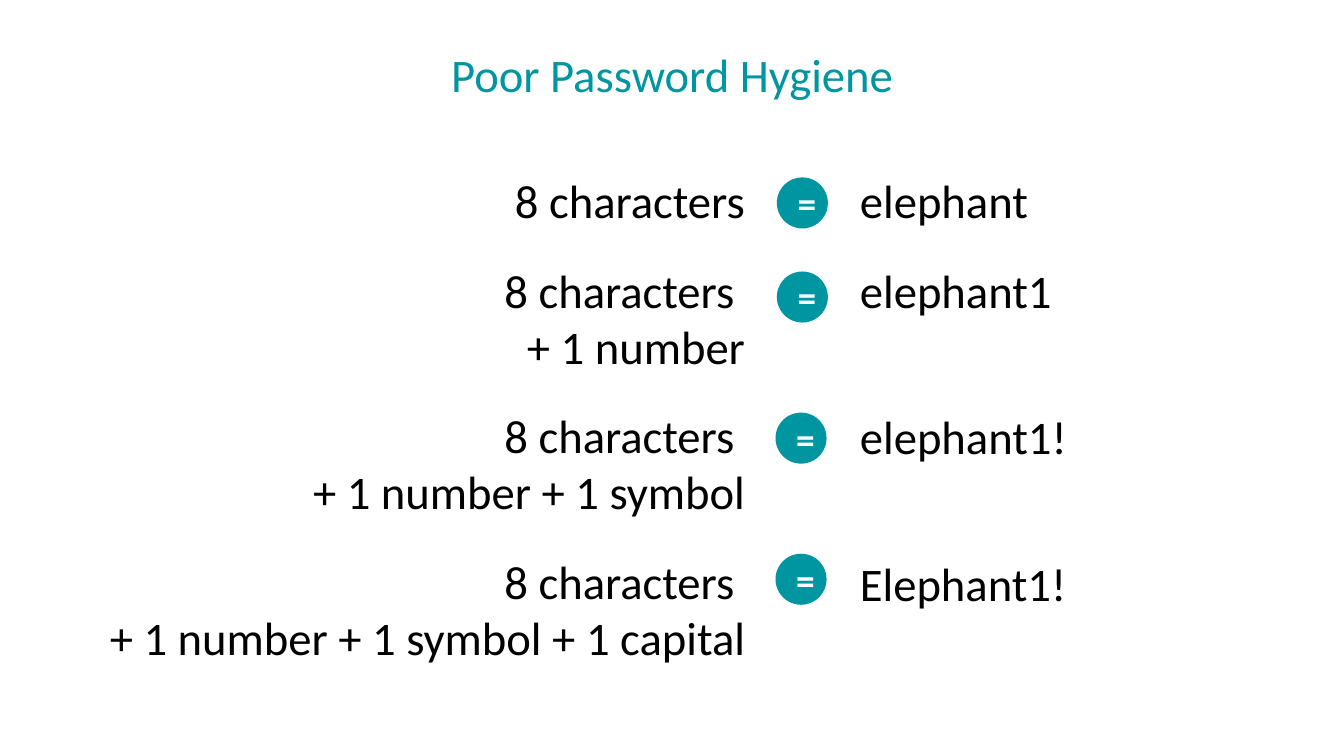
"""Build the slide on poor password hygiene."""
from pptx import Presentation
from pptx.dml.color import RGBColor
from pptx.enum.shapes import MSO_SHAPE as SHAPE
from pptx.enum.text import MSO_ANCHOR as ANCHOR, PP_ALIGN as ALIGN
from pptx.util import Pt

TEAL = RGBColor(0x00, 0x96, 0xA1)
BLACK = RGBColor(0, 0, 0)
WHITE = RGBColor(255, 255, 255)
FONT = "Calibri"
SIZE = 25
GAP = 18
LINE = 30.5
DISC = 27.36

TITLE = "Poor Password Hygiene"
ROWS = [
    (["8 characters"], "elephant", (416.16, 95.04)),
    (["8 characters ", "+ 1 number"], "elephant1", (416.16, 145.44)),
    (["8 characters ", "+ 1 number + 1 symbol"], "elephant1!", (415.44, 221.04)),
    (["8 characters ", "+ 1 number + 1 symbol + 1 capital"], "Elephant1!", (415.44, 296.64)),
]


def add_text(p, lines, size, color, align, bold=False):
    p.alignment = align
    for i, line in enumerate(lines):
        if i:
            p.add_line_break()
        r = p.add_run()
        r.text = line
        r.font.name = FONT
        r.font.size = Pt(size)
        r.font.bold = bold
        r.font.color.rgb = color


def add_box(s, x, y, w, h):
    tf = s.shapes.add_textbox(Pt(x), Pt(y), Pt(w), Pt(h)).text_frame
    tf.word_wrap = True
    return tf


def add_column(tf, items, align):
    for i, (lines, after) in enumerate(items):
        p = tf.add_paragraph() if i else tf.paragraphs[0]
        p.space_after = Pt(after)
        add_text(p, lines, SIZE, BLACK, align)


def add_equals(s, x, y):
    sp = s.shapes.add_shape(SHAPE.OVAL, Pt(x), Pt(y), Pt(DISC), Pt(DISC))
    sp.shadow.inherit = False
    sp.fill.solid()
    sp.fill.fore_color.rgb = TEAL
    sp.line.fill.background()
    tf = sp.text_frame
    tf.vertical_anchor = ANCHOR.MIDDLE
    add_text(tf.paragraphs[0], ["="], 20, WHITE, ALIGN.CENTER, True)


def main():
    prs = Presentation()
    prs.slide_width, prs.slide_height = Pt(720), Pt(405)
    s = prs.slides.add_slide(prs.slide_layouts[6])

    tf = add_box(s, 49.68, 26.64, 620.64, 31.68)
    tf.vertical_anchor = ANCHOR.MIDDLE
    tf.paragraphs[0].line_spacing = 0.8
    add_text(tf.paragraphs[0], [TITLE], SIZE, TEAL, ALIGN.CENTER)

    rules = [(lines, GAP) for lines, _, _ in ROWS]
    add_column(add_box(s, 35.28, 88.56, 370.8, 260.64), rules, ALIGN.RIGHT)

    passwords = [([word], GAP + LINE * (len(lines) - 1)) for lines, word, _ in ROWS]
    add_column(add_box(s, 453.6, 88.56, 253.44, 243.36), passwords, ALIGN.LEFT)

    for _, _, (x, y) in ROWS:
        add_equals(s, x, y)

    prs.save("out.pptx")


if __name__ == "__main__":
    main()
